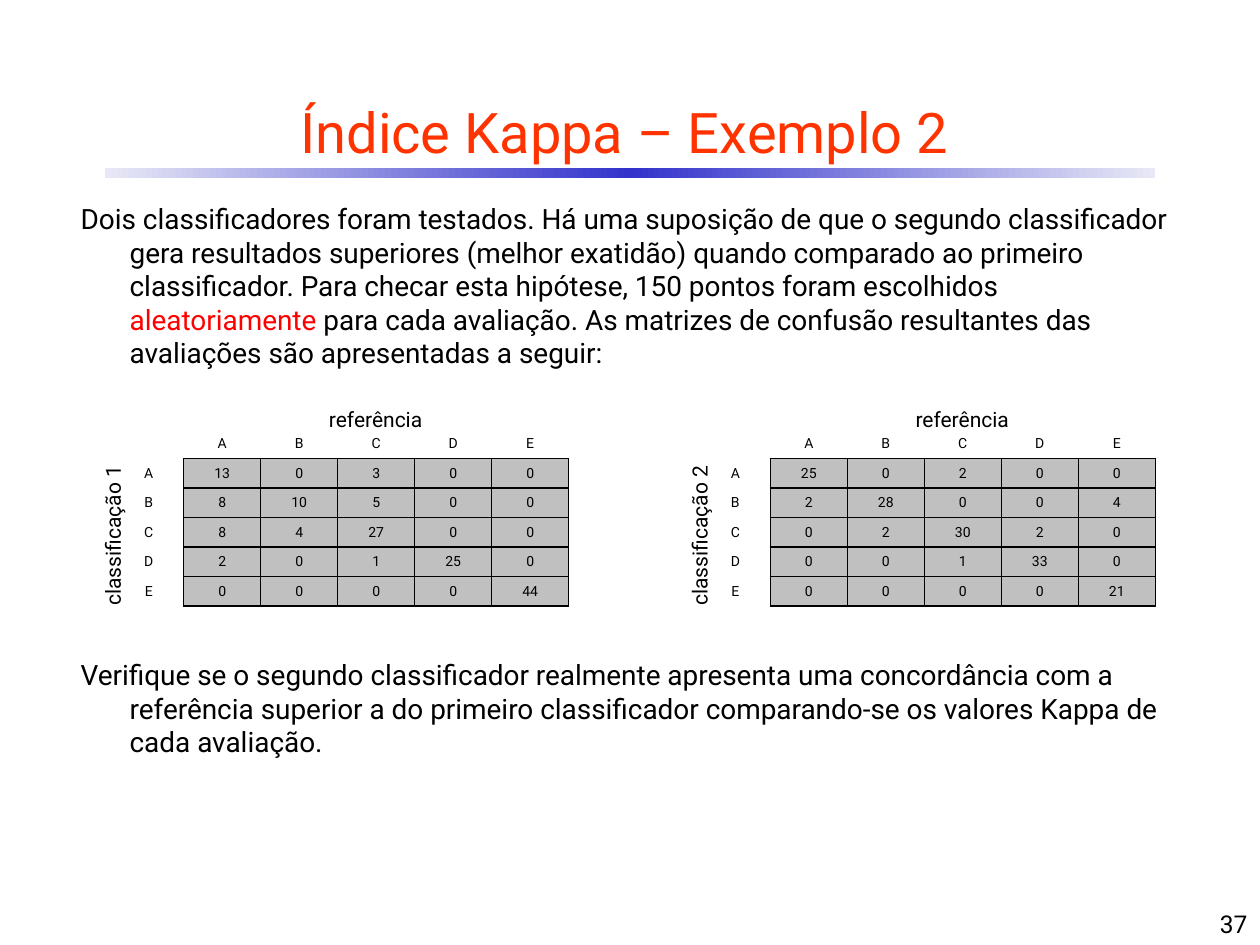
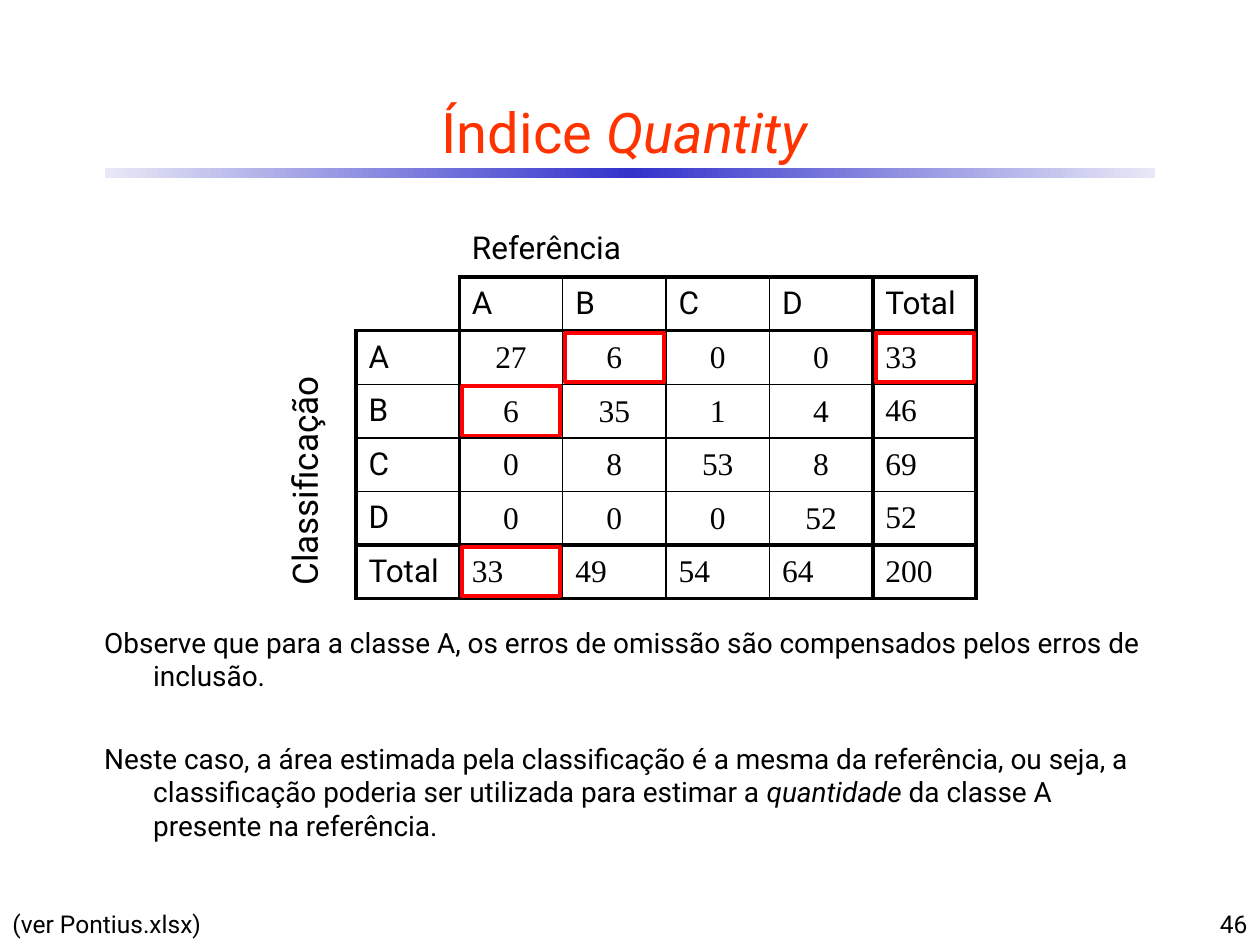
"""Builds two slides on the Kappa and Quantity indices with their confusion matrices."""
from copy import deepcopy

from lxml import etree
from pptx import Presentation
from pptx.dml.color import RGBColor
from pptx.enum.shapes import MSO_SHAPE
from pptx.enum.text import MSO_ANCHOR, PP_ALIGN
from pptx.oxml.ns import qn
from pptx.util import Pt

LEFT, CENTER, RIGHT = PP_ALIGN.LEFT, PP_ALIGN.CENTER, PP_ALIGN.RIGHT
TOP, MIDDLE, BOTTOM = MSO_ANCHOR.TOP, MSO_ANCHOR.MIDDLE, MSO_ANCHOR.BOTTOM
RECTANGLE = MSO_SHAPE.RECTANGLE

BLACK = RGBColor(0x00, 0x00, 0x00)
RED = RGBColor(0xFF, 0x00, 0x00)
TITLE_ORANGE = RGBColor(0xFF, 0x33, 0x00)
BAND_BLUE = RGBColor(0x33, 0x33, 0xCC)
BAND_PALE = RGBColor(0xE8, 0xE8, 0xF6)
CELL_GRAY = RGBColor(0xC0, 0xC0, 0xC0)
SANS, SERIF = "Roboto", "Times New Roman"
HANGING = Pt(28)


def add_text(slide, frame, text, size, alignment=LEFT, anchor=TOP, hanging=False):
    """Add a text box whose pieces, parted by bars, become runs; return the shape."""
    shape = slide.shapes.add_textbox(*map(Pt, frame))
    shape.text_frame.word_wrap = True
    shape.text_frame.vertical_anchor = anchor
    paragraph = shape.text_frame.paragraphs[0]
    for piece in text.split("|"):
        paragraph.add_run().text = piece
    paragraph.alignment = alignment
    if hanging:
        properties = paragraph._p.get_or_add_pPr()
        properties.set("marL", str(HANGING))
        properties.set("indent", str(-HANGING))
    paragraph.font.name = SANS
    paragraph.font.size = Pt(size)
    paragraph.font.color.rgb = BLACK
    return shape


def set_borders(cell, widths):
    """Give the left, right, top and bottom borders of a cell; zero means none."""
    properties = cell._tc.get_or_add_tcPr()
    for side, width in zip("LRTB", widths):
        line = etree.SubElement(properties, qn(f"a:ln{side}"), w=str(Pt(width)))
        if width:
            fill = etree.SubElement(line, qn("a:solidFill"))
            etree.SubElement(fill, qn("a:srgbClr"), val=str(BLACK))
        else:
            etree.SubElement(line, qn("a:noFill"))


presentation = Presentation()
presentation.slide_width, presentation.slide_height = Pt(720), Pt(540)
title_layout = presentation.slide_layouts[5]

slides = []
for title_pieces, number in ((["Índice Kappa – Exemplo 2"], "37"), (["Índice ", "Quantity"], "46")):
    slide = presentation.slides.add_slide(title_layout)
    title = slide.shapes.title
    title.left, title.top, title.width, title.height = Pt(24), Pt(48), Pt(666), Pt(54)
    title.text_frame.vertical_anchor = MIDDLE
    paragraph = title.text_frame.paragraphs[0]
    for piece in title_pieces:
        paragraph.add_run().text = piece
    paragraph.alignment = CENTER
    paragraph.font.name = SANS
    paragraph.font.size = Pt(32)
    paragraph.font.color.rgb = TITLE_ORANGE
    add_text(slide, (570, 504, 150, 36), number, 14, RIGHT, BOTTOM)
    slides.append(slide)
kappa_slide, quantity_slide = slides
quantity_slide.shapes.title.text_frame.paragraphs[0].runs[1].font.italic = True

band = kappa_slide.shapes.add_shape(RECTANGLE, Pt(60), Pt(96), Pt(600), Pt(6))
band.shadow.inherit = False
band.line.fill.background()
band.fill.gradient()
band.fill.gradient_angle = 0
edge_stop, middle_stop = band.fill.gradient_stops
edge_stop.color.rgb = BAND_PALE
middle_stop.color.rgb = BAND_BLUE
middle_stop.position = 0.5
stop_list = band.element.spPr.find(f".//{qn('a:gsLst')}")
stop_list.append(deepcopy(stop_list[0]))
stop_list[2].set("pos", "100000")
title_layout.shapes[0].element.addprevious(band.element)

introduction = add_text(
    kappa_slide, (39, 111.6, 646.5, 104.4),
    "Dois classificadores foram testados. Há uma suposição de que o segundo classificador gera "
    "resultados superiores (melhor exatidão) quando comparado ao primeiro classificador. Para "
    "checar esta hipótese, 150 pontos foram escolhidos |aleatoriamente| para cada avaliação. "
    "As matrizes de confusão resultantes das avaliações são apresentadas a seguir:",
    16, hanging=True)
introduction.text_frame.paragraphs[0].runs[1].font.color.rgb = RED
add_text(
    kappa_slide, (39, 372.2, 646.5, 65.5),
    "Verifique se o segundo classificador realmente apresenta uma concordância com a referência "
    "superior a do primeiro classificador comparando-se os valores Kappa de cada avaliação.",
    16, hanging=True)

CLASSES = "ABCDE"
matrices = (
    (65, "classificação 1", ((13, 0, 3, 0, 0), (8, 10, 5, 0, 0), (8, 4, 27, 0, 0),
                             (2, 0, 1, 25, 0), (0, 0, 0, 0, 44))),
    (400.2, "classificação 2", ((25, 0, 2, 0, 0), (2, 28, 0, 0, 4), (0, 2, 30, 2, 0),
                                (0, 0, 1, 33, 0), (0, 0, 0, 0, 21))),
)
for left, row_caption, counts in matrices:
    table = kappa_slide.shapes.add_table(6, 6, Pt(left), Pt(226), Pt(260), Pt(120.25)).table
    table.first_row = table.horz_banding = False
    rows = [["", *CLASSES]] + [[name, *values] for name, values in zip(CLASSES, counts)]
    for index in range(6):
        table.columns[index].width = Pt(44 if index else 40)
        table.rows[index].height = Pt(16.85 if index else 36)
    for row, values in enumerate(rows):
        for column, value in enumerate(values):
            cell = table.cell(row, column)
            inside = row > 0 and column > 0
            set_borders(cell, (inside, row > 0, inside, column > 0))
            if inside:
                cell.fill.solid()
                cell.fill.fore_color.rgb = CELL_GRAY
            else:
                cell.fill.background()
            cell.vertical_anchor = BOTTOM
            cell.text = str(value)
            paragraph = cell.text_frame.paragraphs[0]
            paragraph.alignment = CENTER
            paragraph.font.name = SANS
            paragraph.font.size = Pt(8)
            paragraph.font.color.rgb = BLACK
    add_text(kappa_slide, (left + 39.2, 228.5, 221, 21.8), "referência", 12, CENTER)
    row_label = add_text(kappa_slide, (left - 55, 295.2, 109, 21.8), row_caption, 12, CENTER)
    row_label.rotation = 270

TABLE_LEFT, TABLE_TOP = 168, 126
SIDE_WIDTH, COLUMN_WIDTH = 35.4, 59.1
HEADER_HEIGHT, ROW_HEIGHT = 32.4, 30.6
HEAVY, THIN = 2.25, 1
LINE_WIDTHS = (0, HEAVY, HEAVY, THIN, THIN, THIN, HEAVY, HEAVY)
quantity_rows = (
    ("", "", "Referência", "", "", "", ""),
    ("", "", "A", "B", "C", "D", "Total"),
    ("Classificação", "A", 27, 6, 0, 0, 33),
    ("", "B", 6, 35, 1, 4, 46),
    ("", "C", 0, 8, 53, 8, 69),
    ("", "D", 0, 0, 0, 52, 52),
    ("", "Total", 33, 49, 54, 64, 200),
)
table = quantity_slide.shapes.add_table(
    7, 7, Pt(TABLE_LEFT), Pt(TABLE_TOP), Pt(390), Pt(216)).table
table.first_row = table.horz_banding = False
for index in range(7):
    table.columns[index].width = Pt(COLUMN_WIDTH if index else SIDE_WIDTH)
    table.rows[index].height = Pt(ROW_HEIGHT if index else HEADER_HEIGHT)
for row, values in enumerate(quantity_rows):
    for column, value in enumerate(values):
        cell = table.cell(row, column)
        first_vertical = 1 if row > 1 else 2 if row == 1 else 8
        first_horizontal = 1 if column > 1 else 2 if column == 1 else 8
        verticals = [LINE_WIDTHS[x] if x >= first_vertical else 0 for x in (column, column + 1)]
        horizontals = [LINE_WIDTHS[y] if y >= first_horizontal else 0 for y in (row, row + 1)]
        set_borders(cell, verticals + horizontals)
        cell.fill.background()
        cell.vertical_anchor = MIDDLE
        cell.text = str(value)
        paragraph = cell.text_frame.paragraphs[0]
        if 2 <= row <= 5 and 2 <= column <= 5:
            paragraph.alignment = CENTER
            cell.margin_left = cell.margin_right = cell.margin_top = Pt(0.7)
            cell.margin_bottom = 0
        paragraph.font.name = SANS if isinstance(value, str) else SERIF
        paragraph.font.size = Pt(18)
        paragraph.font.color.rgb = BLACK
table.cell(0, 2).merge(table.cell(0, 6))
side_cell = table.cell(2, 0)
side_cell.merge(table.cell(6, 0))
side_cell._tc.tcPr.set("vert", "vert270")
side_paragraph = side_cell.text_frame.paragraphs[0]
side_paragraph.line_spacing = Pt(15)
side_paragraph.font.size = Pt(20)

for row, column in ((2, 3), (3, 2), (2, 6), (6, 2)):
    highlight = quantity_slide.shapes.add_shape(
        RECTANGLE,
        Pt(TABLE_LEFT + SIDE_WIDTH + (column - 1) * COLUMN_WIDTH + 1.5),
        Pt(TABLE_TOP + HEADER_HEIGHT + (row - 1) * ROW_HEIGHT + 1.2),
        Pt(56.2), Pt(28.1))
    highlight.shadow.inherit = False
    highlight.fill.background()
    highlight.line.color.rgb = RED
    highlight.line.width = Pt(HEAVY)

add_text(
    quantity_slide, (52.5, 353.8, 612, 46),
    "Observe que para a classe A, os erros de omissão são compensados pelos erros de inclusão.",
    16, hanging=True)
conclusion = add_text(
    quantity_slide, (52.5, 420, 612, 65.5),
    "Neste caso, a área estimada pela classificação é a mesma da referência, ou seja, a "
    "classificação poderia ser utilizada para estimar a |quantidade| da classe A presente na "
    "referência.",
    16, hanging=True)
conclusion.text_frame.paragraphs[0].runs[1].font.italic = True
add_text(quantity_slide, (0, 515.8, 145, 24.2), "(ver Pontius.xlsx)", 14)

presentation.save("out.pptx")
